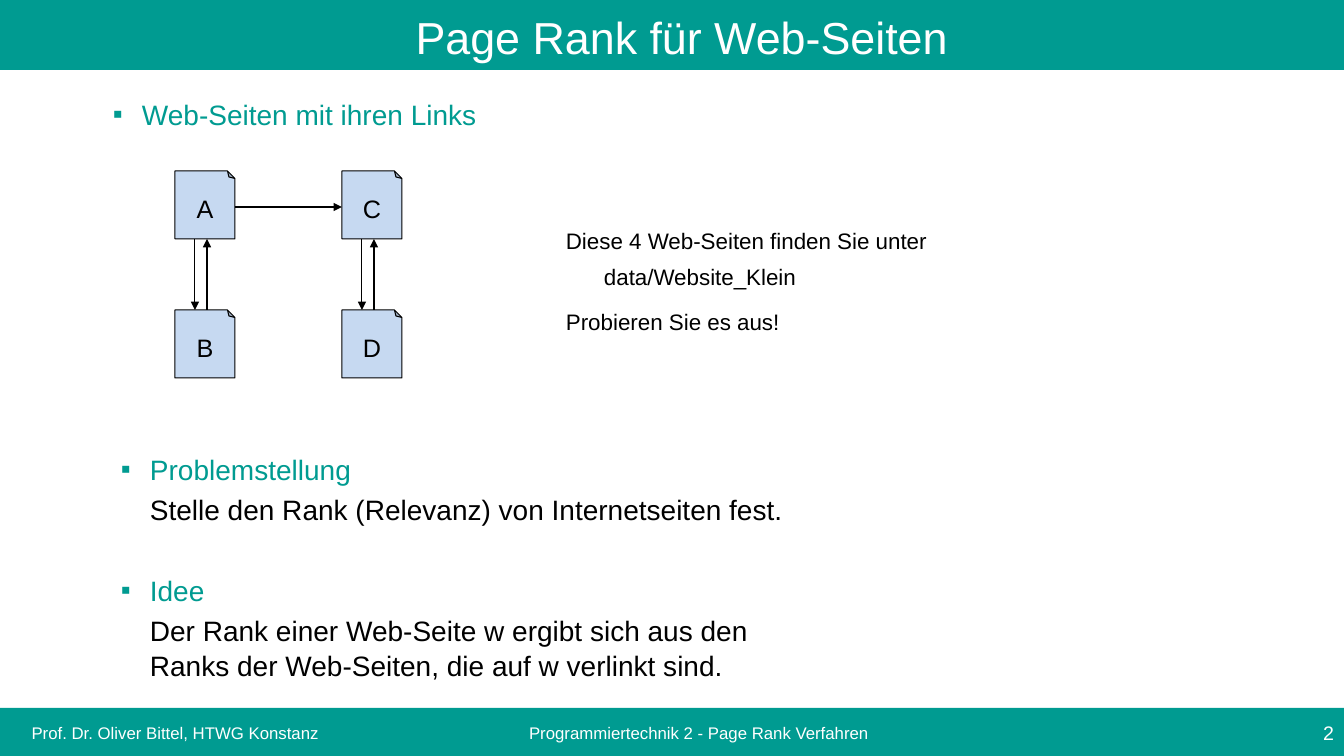
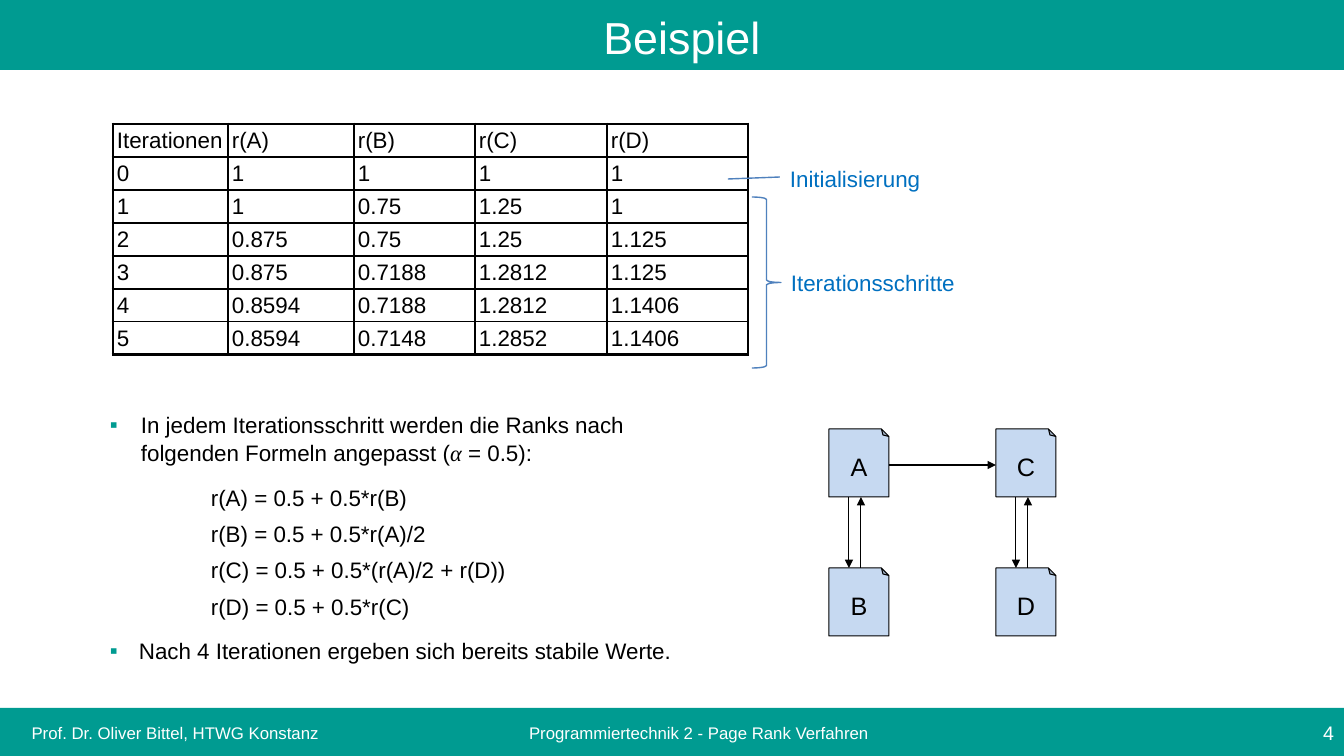
import collections

import lxml.etree
import pptx
import pptx.dml.color
import pptx.enum.shapes
import pptx.enum.text
import pptx.oxml.ns
import pptx.util

RGBColor = pptx.dml.color.RGBColor
SHAPE = pptx.enum.shapes.MSO_SHAPE
ALIGN = pptx.enum.text.PP_ALIGN
ANCHOR = pptx.enum.text.MSO_ANCHOR
Pt = pptx.util.Pt
qn = pptx.oxml.ns.qn
SubElement = lxml.etree.SubElement

TEAL = RGBColor(0x00, 0x9B, 0x91)
WHITE = RGBColor(0xFF, 0xFF, 0xFF)
BLACK = RGBColor(0x00, 0x00, 0x00)
NODE_BLUE = RGBColor(0xC6, 0xD9, 0xF1)
LINE_BLUE = RGBColor(0x4F, 0x81, 0xBD)
LABEL_BLUE = RGBColor(0x00, 0x70, 0xC0)
FONT = "Arial"
SYMBOL_FONT = "Times New Roman"

PX = 914400 / 100.8
WIDTH, HEIGHT = 1344, 756

Line = collections.namedtuple(
    "Line", "text color indent bullet before after", defaults=(BLACK, 0, False, 0, 0))


def add_text(page, area, lines, size, align=ALIGN.LEFT, anchor=ANCHOR.TOP):
    box = page.shapes.add_textbox(*[round(value * PX) for value in area])
    frame = box.text_frame
    frame.word_wrap = True
    frame.vertical_anchor = anchor
    for index, line in enumerate(lines):
        para = frame.add_paragraph() if index else frame.paragraphs[0]
        head, symbol, tail = line.text.partition("α")
        para.text = head
        for piece in filter(None, (symbol, tail)):
            para.add_run().text = piece
        for span in para.runs:
            span.font.size = Pt(size)
            span.font.color.rgb = line.color
            span.font.italic = span.text == "α"
            span.font.name = SYMBOL_FONT if span.font.italic else FONT
        para.alignment = align
        para.line_spacing = 1.04
        para.space_before, para.space_after = Pt(line.before), Pt(line.after)
        props = para._p.get_or_add_pPr()
        props.set("marL", str(round(line.indent * PX)))
        if line.bullet:
            props.set("indent", str(round(-line.indent * PX)))
            color = SubElement(props, qn("a:buClr"))
            SubElement(color, qn("a:srgbClr"), val=str(TEAL))
            SubElement(props, qn("a:buFont"), typeface=FONT)
            SubElement(props, qn("a:buChar"), char="▪")


def add_line(page, start, end, color, width, arrow=False):
    line = page.shapes.add_connector(
        pptx.enum.shapes.MSO_CONNECTOR.STRAIGHT,
        *[round(value * PX) for value in (*start, *end)])
    line.line.color.rgb = color
    line.line.width = Pt(width)
    if arrow:
        SubElement(line.line._get_or_add_ln(), qn("a:tailEnd"), type="triangle")
    SubElement(line._element.spPr, qn("a:effectLst"))


deck = pptx.Presentation()
deck.slide_width, deck.slide_height = round(WIDTH * PX), round(HEIGHT * PX)
title_only = deck.slide_layouts[5]

# Shared parts: title band, footer band and the graph of linked web pages
NODE_WIDTH, NODE_HEIGHT = 60, 68
COLUMN_STEP, ROW_STEP = 167, 139
pages = []
for heading, number, graph_left, graph_top in (
        ("Page Rank für Web-Seiten", "2", 175, 171),
        ("Beispiel", "4", 829, 429)):
    page = deck.slides.add_slide(title_only)
    pages.append(page)

    title = page.shapes.title
    title.left, title.top = 0, round(-PX)
    title.width, title.height = round(WIDTH * PX), round(71 * PX)
    title.fill.solid()
    title.fill.fore_color.rgb = TEAL
    frame = title.text_frame
    frame.text = heading
    frame.vertical_anchor = ANCHOR.MIDDLE
    frame.margin_left, frame.margin_top = round(30 * PX), round(10 * PX)
    para = frame.paragraphs[0]
    para.alignment = ALIGN.CENTER
    font = para.runs[0].font
    font.name, font.size, font.color.rgb = FONT, Pt(32), WHITE

    band = page.shapes.add_shape(
        SHAPE.RECTANGLE, 0, round(708 * PX), round(WIDTH * PX), round(48 * PX))
    band.shadow.inherit = False
    band.fill.solid()
    band.fill.fore_color.rgb = TEAL
    band.line.fill.background()
    for text, left, width, size, align in (
            ("Prof. Dr. Oliver Bittel, HTWG Konstanz", 0, 329, 12, ALIGN.RIGHT),
            ("Programmiertechnik 2 - Page Rank Verfahren", 402, 594, 12, ALIGN.CENTER),
            (number, 1153, 191, 14, ALIGN.RIGHT)):
        add_text(page, (left, 708, width, 48), [Line(text, WHITE)], size,
                 align, ANCHOR.MIDDLE)

    for index, name in enumerate("ABCD"):
        column, row = divmod(index, 2)
        left = graph_left + column * COLUMN_STEP
        top = graph_top + row * ROW_STEP
        node = page.shapes.add_shape(
            SHAPE.FOLDED_CORNER,
            *[round(value * PX) for value in (left, top, NODE_WIDTH, NODE_HEIGHT)])
        node.shadow.inherit = False
        node.fill.solid()
        node.fill.fore_color.rgb = NODE_BLUE
        node.line.color.rgb = BLACK
        node.line.width = Pt(0.75)
        # Small fold at the top, with the text kept upright
        properties = node._element.spPr
        properties.find(qn("a:xfrm")).set("flipV", "1")
        geometry = properties.find(qn("a:prstGeom"))
        for guides in geometry.findall(qn("a:avLst")):
            geometry.remove(guides)
        SubElement(SubElement(geometry, qn("a:avLst")), qn("a:gd"),
                   name="adj", fmla="val 12500")
        frame = node.text_frame
        frame._txBody.find(qn("a:bodyPr")).set("rot", "10800000")
        frame.word_wrap = False
        frame.vertical_anchor = ANCHOR.MIDDLE
        frame.text = name
        para = frame.paragraphs[0]
        para.alignment = ALIGN.CENTER
        font = para.runs[0].font
        font.name, font.size, font.color.rgb = FONT, Pt(18), BLACK

    upper, lower = graph_top + NODE_HEIGHT, graph_top + ROW_STEP
    for left in (graph_left, graph_left + COLUMN_STEP):
        add_line(page, (left + 20, upper), (left + 20, lower), BLACK, 0.75, True)
        add_line(page, (left + 32, lower), (left + 32, upper), BLACK, 0.75, True)
    add_line(page, (graph_left + NODE_WIDTH, graph_top + 36),
             (graph_left + COLUMN_STEP, graph_top + 36), BLACK, 0.75, True)

overview, example = pages

# Overview: headed points and the hint beside the graph
for left, top, heading, body in (
        (103, 91, "Web-Seiten mit ihren Links", None),
        (111, 446, "Problemstellung",
         "Stelle den Rank (Relevanz) von Internetseiten fest."),
        (111, 567, "Idee",
         "Der Rank einer Web-Seite w ergibt sich aus den\v"
         "Ranks der Web-Seiten, die auf w verlinkt sind.")):
    lines = [Line(heading, TEAL, 29, True, before=4)]
    if body:
        lines.append(Line(body, indent=29, before=4))
    add_text(overview, (left, top, 921, 35 if body is None else 110), lines, 20)

add_text(overview, (556, 221, 670, 117), [
    Line("Diese 4 Web-Seiten finden Sie unter", after=6),
    Line("data/Website_Klein", indent=38, after=12),
    Line("Probieren Sie es aus!", after=12)], 16)

# Example: table of ranks with a thick outer frame
ranks = (
    ("Iterationen", "r(A)", "r(B)", "r(C)", "r(D)"),
    ("0", "1", "1", "1", "1"),
    ("1", "1", "0.75", "1.25", "1"),
    ("2", "0.875", "0.75", "1.25", "1.125"),
    ("3", "0.875", "0.7188", "1.2812", "1.125"),
    ("4", "0.8594", "0.7188", "1.2812", "1.1406"),
    ("5", "0.8594", "0.7148", "1.2852", "1.1406"))
column_widths = (115, 126, 121, 132, 141)
ROW_HEIGHT = 33
last_row, last_column = len(ranks) - 1, len(column_widths) - 1
table = example.shapes.add_table(
    len(ranks), len(column_widths),
    *[round(value * PX) for value in
      (113, 124, sum(column_widths), ROW_HEIGHT * len(ranks))]).table
table.first_row = table.horz_banding = False
for column, width in zip(table.columns, column_widths):
    column.width = round(width * PX)
for row_index, values in enumerate(ranks):
    table.rows[row_index].height = round(ROW_HEIGHT * PX)
    for column_index, value in enumerate(values):
        cell = table.cell(row_index, column_index)
        cell.text = value
        cell.vertical_anchor = ANCHOR.MIDDLE
        cell.margin_left = cell.margin_right = round(4 * PX)
        cell.margin_top = cell.margin_bottom = round(3 * PX)
        font = cell.text_frame.paragraphs[0].runs[0].font
        font.name, font.size, font.color.rgb = FONT, Pt(16), BLACK
        for side, outer in (("L", column_index == 0),
                            ("R", column_index == last_column),
                            ("T", row_index == 0),
                            ("B", row_index == last_row)):
            border = SubElement(cell._tc.get_or_add_tcPr(), qn("a:ln" + side),
                                w=str(int(Pt(2.25 if outer else 1))))
            fill = SubElement(border, qn("a:solidFill"))
            SubElement(fill, qn("a:srgbClr"), val=str(BLACK))
        cell.fill.background()

# Example: notes beside the table
add_line(example, (728, 179), (780, 177), LINE_BLUE, 1)
brace = example.shapes.add_shape(
    SHAPE.RIGHT_BRACE, *[round(value * PX) for value in (752, 197, 29, 171)])
brace.shadow.inherit = False
brace.fill.background()
brace.line.color.rgb = LINE_BLUE
brace.line.width = Pt(1)
for text, left, top in (("Initialisierung", 780, 159),
                        ("Iterationsschritte", 781, 263)):
    add_text(example, (left, top, 258, 37), [Line(text, LABEL_BLUE)], 16)

# Example: update formulas
formulas = ("r(A) = 0.5 + 0.5*r(B)", "r(B) = 0.5 + 0.5*r(A)/2",
            "r(C) = 0.5 + 0.5*(r(A)/2 + r(D))", "r(D) = 0.5 + 0.5*r(C)")
add_text(example, (100, 405, 700, 260), [
    Line("In jedem Iterationsschritt werden die Ranks nach\v"
         "folgenden Formeln angepasst (α = 0.5):", indent=31, bullet=True, after=12),
    *[Line(formula, indent=101, after=12 if formula == formulas[-1] else 6)
      for formula in formulas],
    Line("Nach 4 Iterationen ergeben sich bereits stabile Werte.",
         indent=29, bullet=True)], 16)

deck.save("out.pptx")
